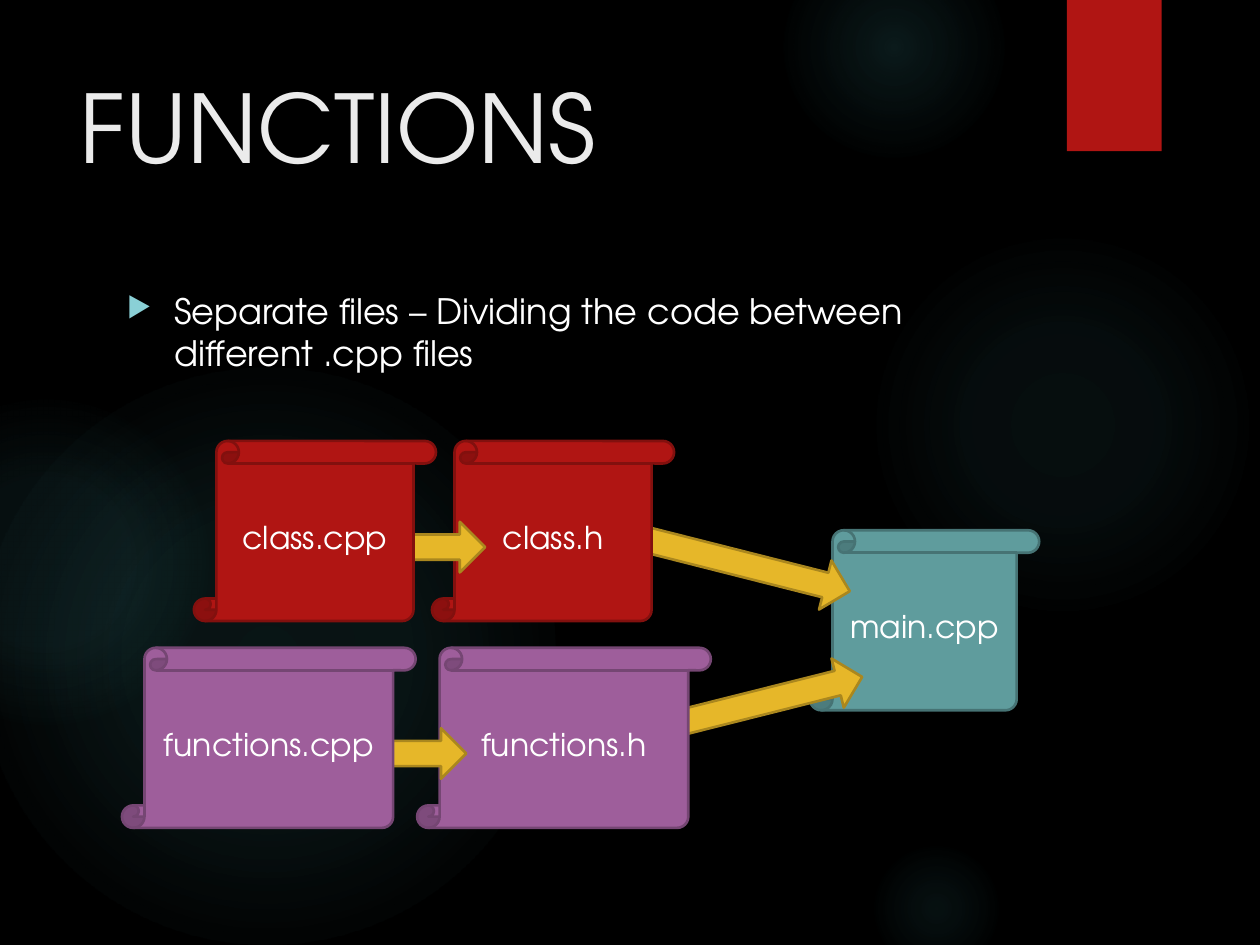
from typing import NamedTuple

import pptx
import pptx.dml.color
import pptx.enum.shapes
import pptx.enum.text
import pptx.oxml
import pptx.oxml.ns
import pptx.util

Cm = pptx.util.Cm
Pt = pptx.util.Pt
RGBColor = pptx.dml.color.RGBColor
Kind = pptx.enum.shapes.MSO_SHAPE
Align = pptx.enum.text.PP_ALIGN
Anchor = pptx.enum.text.MSO_ANCHOR

FONT = "TeX Gyre Adventor"
BLACK = RGBColor(0x00, 0x00, 0x00)
WHITE = RGBColor(0xFF, 0xFF, 0xFF)
PALE = RGBColor(0xEB, 0xEB, 0xEB)
AQUA = RGBColor(0x8A, 0xD0, 0xD6)
GLOW = RGBColor(0x50, 0xB9, 0xC1)
RED = RGBColor(0xB0, 0x15, 0x13)
MAROON = RGBColor(0x82, 0x10, 0x0E)
TEAL = RGBColor(0x5F, 0x9C, 0x9D)
PINE = RGBColor(0x46, 0x73, 0x74)
PURPLE = RGBColor(0x9E, 0x5E, 0x9B)
PLUM = RGBColor(0x75, 0x46, 0x73)
GOLD = RGBColor(0xE6, 0xB7, 0x29)
BRONZE = RGBColor(0xAA, 0x87, 0x1E)

FILE_H = 3.63
ARROW_H = 1.02


class Orb(NamedTuple):
    x: float
    y: float
    size: float
    core: int  # opacity at the centre, percent
    mid: int  # opacity at 36 % of the radius
    end: int  # where the glow fades out, percent


class File(NamedTuple):
    name: str
    x: float
    y: float
    w: float
    fill: RGBColor
    line: RGBColor


class Arrow(NamedTuple):
    x: float
    y: float
    w: float
    turn: float = 0


ORBS = [
    Orb(17.5, 4.65, 7.82, 7, 6, 69),
    Orb(15.8, -1.27, 4.45, 14, 7, 73),
    Orb(17.5, 16.94, 2.74, 9, 5, 66),
    Orb(-0.43, 7.42, 11.63, 11, 10, 75),
    Orb(-2.34, 8.05, 6.55, 8, 8, 72),
]

# Back to front: each arrow lies over its target and under its source
FLOW = [
    File("main.cpp", 16.33, 10.69, 4.62, TEAL, PINE),
    Arrow(12.65, 10.85, 4.55, 14.2),
    Arrow(12.9, 13.69, 4.55, 345.9),
    File("class.h", 8.71, 8.89, 4.88, RED, MAROON),
    Arrow(8.13, 10.52, 1.65),
    File("class.cpp", 3.91, 8.89, 4.88, RED, MAROON),
    File("functions.h", 8.41, 13.06, 5.92, PURPLE, PLUM),
    Arrow(7.75, 14.68, 1.65),
    File("functions.cpp", 2.46, 13.06, 5.92, PURPLE, PLUM),
]


def write(shape, text: str, *, size: int, color=WHITE, align=Align.LEFT, anchor=Anchor.TOP):
    frame = shape.text_frame
    frame.word_wrap = True
    frame.vertical_anchor = anchor
    para = frame.paragraphs[0]
    para.alignment = align
    run = para.add_run()
    run.text = text
    run.font.name = FONT
    run.font.size = Pt(size)
    run.font.color.rgb = color
    return para


def draw(slide, kind, x: float, y: float, w: float, h: float, fill=None, line=None):
    shape = slide.shapes.add_shape(kind, Cm(x), Cm(y), Cm(w), Cm(h))
    shape.shadow.inherit = False
    if fill is None:
        shape.fill.background()
    else:
        shape.fill.solid()
        shape.fill.fore_color.rgb = fill
    if line is None:
        shape.line.fill.background()
    else:
        shape.line.color.rgb = line
        shape.line.width = Pt(1.5)
    return shape


def add_orb(slide, orb: Orb) -> None:
    shape = draw(slide, Kind.OVAL, orb.x, orb.y, orb.size, orb.size)
    stops = "".join(
        f'<a:gs pos="{pos * 1000}"><a:srgbClr val="{GLOW}">'
        f'<a:alpha val="{alpha * 1000}"/></a:srgbClr></a:gs>'
        for pos, alpha in ((0, orb.core), (36, orb.mid), (orb.end, 0))
    )
    grad = pptx.oxml.parse_xml(
        f'<a:gradFill {pptx.oxml.ns.nsdecls("a")}><a:gsLst>{stops}</a:gsLst>'
        '<a:path path="circle"><a:fillToRect l="50000" t="50000" r="50000" b="50000"/>'
        "</a:path></a:gradFill>"
    )
    props = shape.element.spPr
    props.replace(props.find(pptx.oxml.ns.qn("a:noFill")), grad)


def add_file(slide, file: File) -> None:
    shape = draw(slide, Kind.VERTICAL_SCROLL, file.x, file.y, file.w, FILE_H, file.fill, file.line)
    write(shape, file.name, size=18, align=Align.CENTER, anchor=Anchor.MIDDLE)


def add_arrow(slide, arrow: Arrow) -> None:
    shape = draw(slide, Kind.RIGHT_ARROW, arrow.x, arrow.y, arrow.w, ARROW_H, GOLD, BRONZE)
    shape.rotation = arrow.turn


def add_mark(para) -> None:
    para.space_before = Pt(10)
    props = para._p.get_or_add_pPr()
    inset = Cm(0.95)
    props.set("marL", str(inset))
    props.set("indent", str(-inset))
    space = pptx.oxml.ns.nsdecls("a")
    for xml in (
        f'<a:buClr {space}><a:srgbClr val="{AQUA}"/></a:buClr>',
        f'<a:buSzPct {space} val="80000"/>',
        f'<a:buChar {space} char="▶"/>',
    ):
        props.append(pptx.oxml.parse_xml(xml))


def main() -> None:
    deck = pptx.Presentation()
    deck.slide_width, deck.slide_height = Cm(25.4), Cm(19.05)
    slide = deck.slides.add_slide(deck.slide_layouts[6])

    # Backdrop
    back = slide.background.fill
    back.solid()
    back.fore_color.rgb = BLACK
    for orb in ORBS:
        add_orb(slide, orb)
    draw(slide, Kind.RECTANGLE, 21.51, 0, 1.91, 3.05, RED)

    # Title and bullet
    title = slide.shapes.add_textbox(Cm(1.35), Cm(1.27), Cm(19.61), Cm(3.89))
    write(title, "FUNCTIONS", size=54, color=PALE)
    body = slide.shapes.add_textbox(Cm(2.31), Cm(5.72), Cm(18.64), Cm(11.66))
    text = "Separate files – Dividing the code between different .cpp files"
    add_mark(write(body, text, size=20))

    # Files and the arrows between them
    for item in FLOW:
        if isinstance(item, File):
            add_file(slide, item)
        else:
            add_arrow(slide, item)

    deck.save("out.pptx")


if __name__ == "__main__":
    main()
